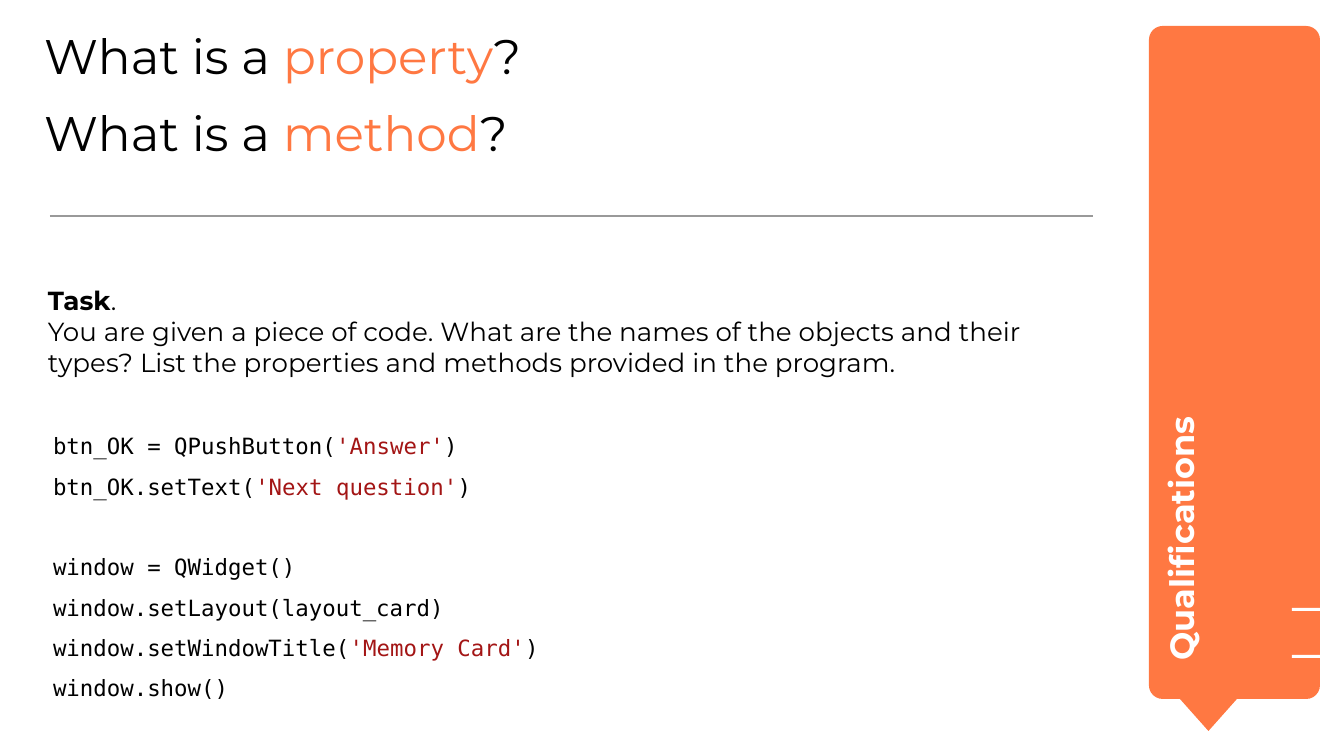
"""Build the slide on properties and methods with a code task."""
from lxml import etree
from pptx import Presentation
from pptx.dml.color import RGBColor
from pptx.enum.shapes import MSO_CONNECTOR, MSO_SHAPE
from pptx.util import Emu, Pt

ROUND = MSO_SHAPE.ROUNDED_RECTANGLE
MERGE = MSO_SHAPE.FLOWCHART_MERGE
RECT = MSO_SHAPE.RECTANGLE
STRAIGHT = MSO_CONNECTOR.STRAIGHT

COLORS = {"accent": "FF7842", "white": "FFFFFF", "black": "000000",
          "string": "A31515", "rule": "999999"}
SANS, MONO = "Montserrat", "DejaVu Sans Mono"
INSET = 13

SHAPES = [
    (ROUND, (1149, 26, 171, 673), "accent"),
    (MERGE, (1164, 681, 89, 50), "accent"),
    (RECT, (1292, 608, 28, 3), "white"),
    (RECT, (1292, 655, 28, 3), "white"),
]
RULE = (50, 216, 1093, 216)

LABEL = [[("Qualifications", "white", True)]]
QUESTIONS = [
    [("What is a ", "black", False), (word, "accent", False), ("?", "black", False)]
    for word in ("property", "method")
]
TASK = [
    [("Task", "black", True), (".", "black", False)],
    [("You are given a piece of code. What are the names of the objects and their "
      "types? List the properties and methods provided in the program.", "black", False)],
]
CODE = [
    [("btn_OK = QPushButton(", "black", False), ("'Answer'", "string", False), (")", "black", False)],
    [("btn_OK.setText(", "black", False), ("'Next question'", "string", False), (")", "black", False)],
    [("window = QWidget()", "black", False)],
    [("window.setLayout(layout_card)", "black", False)],
    [("window.setWindowTitle(", "black", False), ("'Memory Card'", "string", False), (")", "black", False)],
    [("window.show()", "black", False)],
]


def px(n):
    return Emu(round(n * 914400 / 134.4))


def rgb(name):
    return RGBColor.from_string(COLORS[name])


def add_shape(s, kind, box, color):
    sp = s.shapes.add_shape(kind, *map(px, box))
    sp.shadow.inherit = False
    sp.fill.solid()
    sp.fill.fore_color.rgb = rgb(color)
    sp.line.fill.background()
    return sp


def add_text(s, box, lines, size, font=SANS, inset=INSET, spacing=None, gaps=None):
    sp = s.shapes.add_textbox(*map(px, box))
    tf = sp.text_frame
    tf.word_wrap = True
    tf.margin_left = tf.margin_right = tf.margin_top = tf.margin_bottom = px(inset)
    for i, line in enumerate(lines):
        p = tf.add_paragraph() if i else tf.paragraphs[0]
        if spacing:
            p.line_spacing = spacing
        if gaps and i in gaps:
            p.space_before = Pt(gaps[i])
        for text, color, bold in line:
            r = p.add_run()
            r.text = text
            r.font.name = font
            r.font.size = Pt(size)
            r.font.bold = bold
            r.font.color.rgb = rgb(color)
    return sp


def add_rule(s, ends):
    line = s.shapes.add_connector(STRAIGHT, *map(px, ends))
    line.line.color.rgb = rgb("rule")
    line.line.width = Pt(0.75)
    sp_pr = line.element.spPr
    etree.SubElement(sp_pr, "{http://schemas.openxmlformats.org/drawingml/2006/main}effectLst")


def main():
    prs = Presentation()
    prs.slide_width, prs.slide_height = px(1344), px(756)
    s = prs.slides.add_slide(prs.slide_layouts[6])
    for kind, box, color in SHAPES:
        sp = add_shape(s, kind, box, color)
        if kind == ROUND:
            sp.adjustments[0] = 0.08
    label = add_text(s, (953, 355, 513, 124), LABEL, 18)
    label.rotation = 270
    add_text(s, (44, 26, 1063, 75), QUESTIONS, 26, inset=0, gaps={1: 10})
    add_text(s, (35, 271, 1024, 122), TASK, 14)
    add_text(s, (40, 406, 864, 325), CODE, 12, MONO, spacing=1.5, gaps={2: 21.6})
    add_rule(s, RULE)
    prs.save("out.pptx")


if __name__ == "__main__":
    main()
